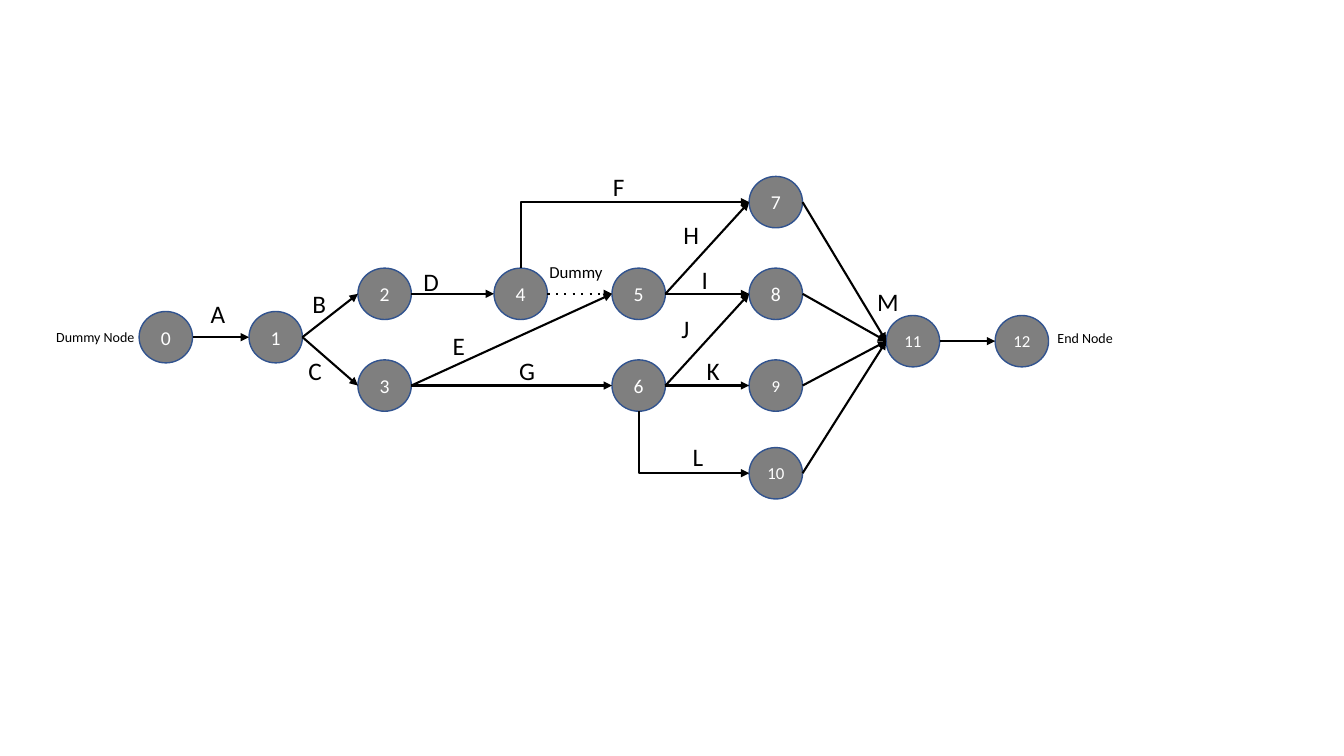
import pptx
import pptx.util
import pptx.dml.color
import pptx.enum.dml
import pptx.enum.shapes
import pptx.enum.text
import pptx.oxml
import pptx.oxml.ns

Inches = pptx.util.Inches
Pt = pptx.util.Pt
RGBColor = pptx.dml.color.RGBColor
MSO_CONNECTOR = pptx.enum.shapes.MSO_CONNECTOR
qn = pptx.oxml.ns.qn

GREY = RGBColor(0x7F, 0x7F, 0x7F)
BLUE = RGBColor(0x31, 0x53, 0x8F)
WHITE = RGBColor(0xFF, 0xFF, 0xFF)
BLACK = RGBColor(0x00, 0x00, 0x00)
FONT = "Calibri"
NODE_W, NODE_H = 0.53, 0.51

NODES = {
    0: (0.92, 1.44), 1: (2.01, 1.44), 2: (3.09, 1.01), 3: (3.09, 1.92),
    4: (4.44, 1.01), 5: (5.61, 1.01), 6: (5.61, 1.92), 7: (6.97, 0.10),
    8: (6.97, 1.01), 9: (6.97, 1.92), 10: (6.97, 2.79),
    11: (8.33, 1.48), 12: (9.41, 1.48),
}
STRAIGHT = [(0, 1), (1, 2), (1, 3), (2, 4), (3, 5), (3, 6), (5, 7), (5, 8),
            (6, 8), (6, 9), (7, 11), (8, 11), (9, 11), (10, 11), (11, 12)]
DUMMY = (4, 5)
BENT = [(4, 7), (6, 10)]
ACTIVITIES = {
    "A": (1.53, 1.26), "B": (2.54, 1.16), "C": (2.50, 1.83), "D": (3.64, 0.94),
    "E": (3.93, 1.58), "F": (5.52, 0), "G": (4.59, 1.83), "H": (6.22, 0.48),
    "I": (6.40, 0.92), "J": (6.20, 1.41), "K": (6.45, 1.83), "L": (6.31, 2.68),
    "M": (8.14, 1.14),
}
NOTES = [("Dummy Node", 0, 1.56, 1.03, 0.27, 10),
         ("End Node", 9.93, 1.57, 1.03, 0.27, 10),
         ("Dummy", 4.89, 0.90, 0.81, 0.30, 12)]


def format_text(tf, text, size, color):
    tf.text = text
    font = tf.paragraphs[0].runs[0].font
    font.name, font.size = FONT, Pt(size)
    font.color.rgb = color


def add_node(s, number, x, y):
    sp = s.shapes.add_shape(pptx.enum.shapes.MSO_SHAPE.OVAL, Inches(x), Inches(y),
                            Inches(NODE_W), Inches(NODE_H))
    sp.shadow.inherit = False
    sp.fill.solid()
    sp.fill.fore_color.rgb = GREY
    sp.line.color.rgb = BLUE
    sp.line.width = Pt(1)
    tf = sp.text_frame
    format_text(tf, str(number), 14 if number < 9 else 12, WHITE)
    tf.vertical_anchor = pptx.enum.text.MSO_ANCHOR.MIDDLE
    tf.paragraphs[0].alignment = pptx.enum.text.PP_ALIGN.CENTER


def add_label(s, text, x, y, w, h, size):
    tf = s.shapes.add_textbox(Inches(x), Inches(y), Inches(w), Inches(h)).text_frame
    tf.word_wrap = True
    tf.auto_size = pptx.enum.text.MSO_AUTO_SIZE.SHAPE_TO_FIT_TEXT
    format_text(tf, text, size, BLACK)


def add_arrow(s, kind, x1, y1, x2, y2):
    cx = s.shapes.add_connector(kind, Inches(x1), Inches(y1), Inches(x2), Inches(y2))
    cx.line.color.rgb = BLACK
    cx.line.width = Pt(1.5)
    sp_pr = cx._element.spPr
    head = pptx.oxml.parse_xml(
        f'<a:tailEnd {pptx.oxml.ns.nsdecls("a")} type="triangle"/>')
    sp_pr.find(qn("a:ln")).append(head)
    sp_pr.append(pptx.oxml.parse_xml(f'<a:effectLst {pptx.oxml.ns.nsdecls("a")}/>'))
    return cx


def add_straight(s, start, end):
    return add_arrow(s, MSO_CONNECTOR.STRAIGHT, start[0] + NODE_W, start[1] + NODE_H / 2,
                     end[0], end[1] + NODE_H / 2)


def add_bent(s, start, end):
    x1, x2 = start[0] + NODE_W / 2, end[0]
    y2 = end[1] + NODE_H / 2
    y1 = start[1] + (NODE_H if y2 > start[1] else 0)
    mid_x, mid_y = (x1 + x2) / 2, (y1 + y2) / 2
    half_rise, half_run = (y1 - y2) / 2, (x2 - x1) / 2
    cx = add_arrow(s, MSO_CONNECTOR.ELBOW, mid_x - half_rise, mid_y - half_run,
                   mid_x + half_rise, mid_y + half_run)
    sp_pr = cx._element.spPr
    sp_pr.find(qn("a:prstGeom")).set("prst", "bentConnector2")
    sp_pr.find(qn("a:xfrm")).set("rot", str(270 * 60000))


def add_network(s, left, top):
    nodes = {n: (left + x, top + y) for n, (x, y) in NODES.items()}
    for number, (x, y) in nodes.items():
        add_node(s, number, x, y)
    for a, b in STRAIGHT:
        add_straight(s, nodes[a], nodes[b])
    for a, b in BENT:
        add_bent(s, nodes[a], nodes[b])
    dummy = add_straight(s, *(nodes[n] for n in DUMMY))
    dummy.line.dash_style = pptx.enum.dml.MSO_LINE.ROUND_DOT
    dummy.line._ln.find(qn("a:prstDash")).set("val", "dot")
    for text, (x, y) in ACTIVITIES.items():
        add_label(s, text, left + x, top + y, 0.48, 0.40, 18)
    for text, x, y, w, h, size in NOTES:
        add_label(s, text, left + x, top + y, w, h, size)


def main():
    prs = pptx.Presentation()
    prs.slide_width, prs.slide_height = Inches(13.33), Inches(7.5)
    s = prs.slides.add_slide(prs.slide_layouts[6])
    add_network(s, 0.46, 1.65)
    prs.save("out.pptx")


if __name__ == "__main__":
    main()
